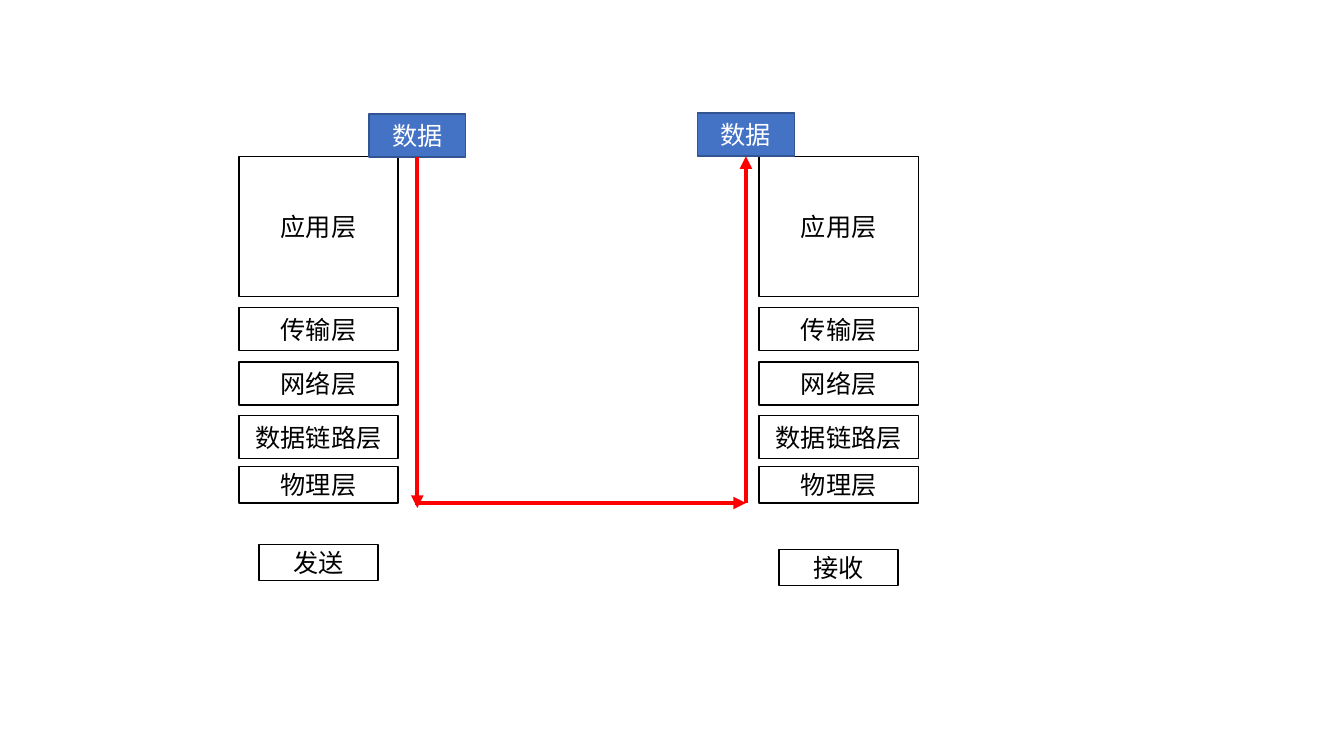
from dataclasses import dataclass

import lxml.etree
import pptx
import pptx.dml.color
import pptx.enum.shapes
import pptx.enum.text
import pptx.oxml.ns
import pptx.util


@dataclass(frozen=True)
class Theme:
    font: str = "Noto Sans CJK SC"
    text_size: float = 18
    outline_width: float = 1
    arrow_width: float = 3
    paper: str = "FFFFFF"
    ink: str = "000000"
    data_fill: str = "4472C4"
    data_outline: str = "325491"
    arrow: str = "FF0000"


@dataclass(frozen=True)
class Layer:
    name: str
    row: float
    rows: float


@dataclass(frozen=True)
class Host:
    role: str
    column: float
    role_row: float
    data_column: float
    data_row: float


THEME = Theme()

# Grid: every cell is a tenth of an inch
CELL = pptx.util.Inches(0.1)
SLIDE_COLUMNS, SLIDE_ROWS = 133.33, 75
LAYER_COLUMNS = 15.8
ROLE_COLUMNS, ROLE_ROWS = 11.8, 3.6
DATA_COLUMNS, DATA_ROWS = 9.6, 4.3
ROUTE_ROW, ROUTE_LEFT, ROUTE_RIGHT = 49.9, 41.2, 74
DOWN_END_ROW = 50.4

LAYERS = [
    Layer("物理层", 46.3, 3.6),
    Layer("数据链路层", 41.2, 4.3),
    Layer("网络层", 35.9, 4.3),
    Layer("传输层", 30.5, 4.3),
    Layer("应用层", 15.5, 13.9),
]
SENDER = Host("发送", 23.7, 54, 36.6, 11.3)
RECEIVER = Host("接收", 75.3, 54.5, 69.2, 11.2)


def grid(cells: float) -> pptx.util.Length:
    return pptx.util.Emu(round(cells * CELL))


def rgb(color: str) -> pptx.dml.color.RGBColor:
    return pptx.dml.color.RGBColor.from_string(color)


def write_text(shape, text: str, *, color: str = THEME.ink,
               size: float = THEME.text_size, font: str = THEME.font) -> None:
    frame = shape.text_frame
    frame.word_wrap = True
    frame.vertical_anchor = pptx.enum.text.MSO_ANCHOR.MIDDLE
    paragraph = frame.paragraphs[0]
    paragraph.alignment = pptx.enum.text.PP_ALIGN.CENTER
    run = paragraph.add_run()
    run.text = text
    run.font.size = pptx.util.Pt(size)
    run.font.color.rgb = rgb(color)
    run.font.name = font
    # Chinese characters take the East Asian typeface
    east_asian = lxml.etree.SubElement(run.font._element, pptx.oxml.ns.qn("a:ea"))
    east_asian.set("typeface", font)


def add_box(slide, text: str, column: float, row: float, columns: float,
            rows: float, *, fill: str = THEME.paper, outline: str = THEME.ink,
            color: str = THEME.ink):
    shape = slide.shapes.add_shape(
        pptx.enum.shapes.MSO_SHAPE.RECTANGLE,
        grid(column), grid(row), grid(columns), grid(rows))
    shape.shadow.inherit = False
    shape.fill.solid()
    shape.fill.fore_color.rgb = rgb(fill)
    shape.line.color.rgb = rgb(outline)
    shape.line.width = pptx.util.Pt(THEME.outline_width)
    write_text(shape, text, color=color)
    return shape


def add_arrow(slide, start: tuple[float, float], end: tuple[float, float]):
    connector = slide.shapes.add_connector(
        pptx.enum.shapes.MSO_CONNECTOR.STRAIGHT, *map(grid, start + end))
    connector.line.color.rgb = rgb(THEME.arrow)
    connector.line.width = pptx.util.Pt(THEME.arrow_width)
    head = lxml.etree.SubElement(connector.line._get_or_add_ln(),
                                 pptx.oxml.ns.qn("a:tailEnd"))
    head.set("type", "triangle")
    lxml.etree.SubElement(connector._element.spPr, pptx.oxml.ns.qn("a:effectLst"))
    return connector


def add_host(slide, host: Host):
    """Draw the layer stack and its role, and return the data box."""
    for layer in LAYERS:
        add_box(slide, layer.name, host.column, layer.row, LAYER_COLUMNS, layer.rows)
    role_column = host.column + (LAYER_COLUMNS - ROLE_COLUMNS) / 2
    add_box(slide, host.role, role_column, host.role_row, ROLE_COLUMNS, ROLE_ROWS)
    return add_box(slide, "数据", host.data_column, host.data_row,
                   DATA_COLUMNS, DATA_ROWS, fill=THEME.data_fill,
                   outline=THEME.data_outline, color=THEME.paper)


def main() -> None:
    presentation = pptx.Presentation()
    presentation.slide_width = grid(SLIDE_COLUMNS)
    presentation.slide_height = grid(SLIDE_ROWS)
    slide = presentation.slides.add_slide(presentation.slide_layouts[6])

    # Both hosts with their protocol layers
    sender_data = add_host(slide, SENDER)
    receiver_data = add_host(slide, RECEIVER)

    # Route of the data: down, across and up
    down_column = SENDER.data_column + DATA_COLUMNS / 2
    down = add_arrow(slide, (down_column, SENDER.data_row + DATA_ROWS),
                     (down_column, DOWN_END_ROW))
    down.begin_connect(sender_data, 2)
    add_arrow(slide, (ROUTE_LEFT, ROUTE_ROW), (ROUTE_RIGHT, ROUTE_ROW))
    up = add_arrow(slide, (ROUTE_RIGHT, ROUTE_ROW),
                   (ROUTE_RIGHT, RECEIVER.data_row + DATA_ROWS))
    up.end_connect(receiver_data, 2)

    presentation.save("out.pptx")


if __name__ == "__main__":
    main()
